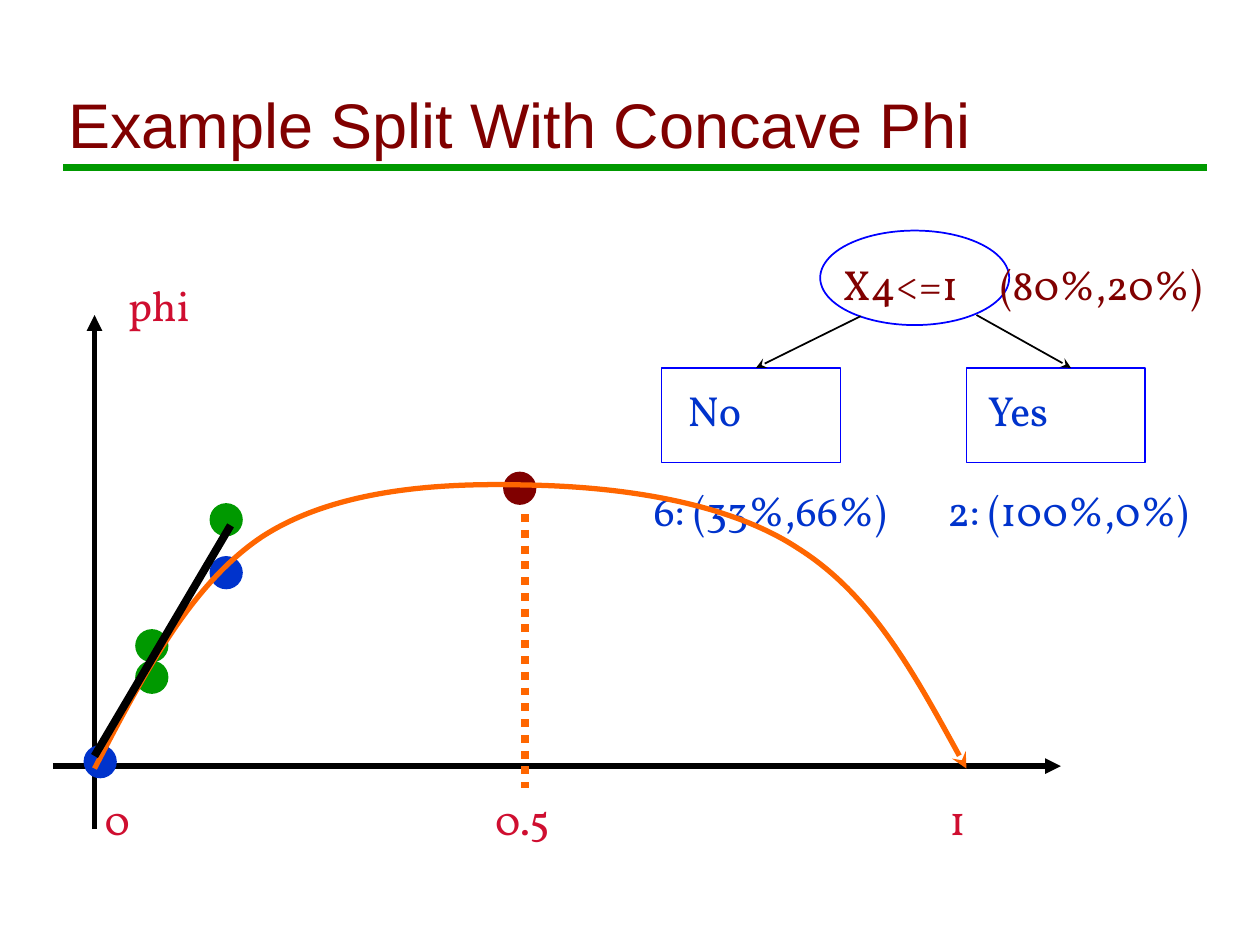
from pptx import Presentation
from pptx.dml.color import RGBColor
from pptx.enum.dml import MSO_LINE_DASH_STYLE as Dash
from pptx.enum.shapes import MSO_CONNECTOR as Connector, MSO_SHAPE as Shape
from pptx.enum.text import MSO_ANCHOR as Anchor, MSO_AUTO_SIZE as AutoSize, PP_ALIGN as Align
from pptx.oxml.ns import qn
from pptx.util import Inches, Pt
from lxml.etree import SubElement

MAROON = RGBColor(0x80, 0x00, 0x00)
GREEN = RGBColor(0x00, 0x99, 0x00)
BLUE = RGBColor(0x00, 0x33, 0xCC)
OUTLINE = RGBColor(0x00, 0x00, 0xFF)
RED = RGBColor(0xCF, 0x0E, 0x30)
ORANGE = RGBColor(0xFF, 0x66, 0x00)
BLACK = RGBColor(0x00, 0x00, 0x00)

DOT_SIZE = 0.25
LEAF_SIZE = (1.42, 0.75)
LEAF_TOP = 2.92
BODY_FONT = {"name": "Vollkorn", "size": Pt(24)}


def apply_format(target, values):
    for name, value in values.items():
        setattr(target, name, value)


def format_line(line, color, width, arrow=None):
    line.color.rgb = color
    line.width = Pt(width)
    if arrow:
        SubElement(line._get_or_add_ln(), qn("a:tailEnd"), type=arrow)


def add_line(slide, start, end, color, width, arrow=None, dash=None):
    points = [Inches(value) for value in (*start, *end)]
    connector = slide.shapes.add_connector(Connector.STRAIGHT, *points)
    SubElement(connector._element.spPr, qn("a:effectLst"))
    if dash:
        connector.line.dash_style = dash
    format_line(connector.line, color, width, arrow)


def add_outline(slide, kind, box, color, filled=False):
    shape = slide.shapes.add_shape(kind, *map(Inches, box))
    shape.shadow.inherit = False
    if filled:
        shape.fill.solid()
        shape.fill.fore_color.rgb = color
    else:
        shape.fill.background()
    format_line(shape.line, color, 1)


def add_dot(slide, left, top, color):
    add_outline(slide, Shape.OVAL, (left, top, DOT_SIZE, DOT_SIZE), color, filled=True)


def add_text(slide, box, lines, color, align=Align.LEFT, indent=0, tab=None):
    """Write lines one blank line apart; the indent moves the first line."""
    frame = slide.shapes.add_textbox(*map(Inches, box)).text_frame
    left_inset = 0 if align == Align.CENTER else Inches(0.1)
    apply_format(frame, {"word_wrap": True, "margin_left": left_inset, "margin_right": 0})
    for index, line in enumerate(lines):
        paragraph = frame.paragraphs[0] if index == 0 else frame.add_paragraph()
        paragraph.text = line
        paragraph.alignment = align
        properties = paragraph._p.get_or_add_pPr()
        if index == 0:
            properties.set("marL", str(Inches(indent)))
        else:
            paragraph.space_before = Pt(28.8)
        if tab:
            tabs = SubElement(properties, qn("a:tabLst"))
            SubElement(tabs, qn("a:tab"), pos=str(Inches(tab)), algn="l")
        for run in paragraph.runs:
            apply_format(run.font, BODY_FONT)
            run.font.color.rgb = color


def add_curve(slide, start, points, color, width, arrow):
    """Draw cubic segments; each takes two control points and an end point."""
    builder = slide.shapes.build_freeform(*map(Inches, start))
    builder.add_line_segments([(Inches(x), Inches(y)) for x, y in points], close=False)
    shape = builder.convert_to_shape()
    shape.shadow.inherit = False
    shape.fill.background()
    format_line(shape.line, color, width, arrow)
    outline = shape._element.find(".//" + qn("a:path"))
    steps = outline.findall(qn("a:lnTo"))
    for first in range(0, len(steps), 3):
        cubic = SubElement(outline, qn("a:cubicBezTo"))
        for step in steps[first:first + 3]:
            cubic.append(step[0])
            outline.remove(step)


def add_title(slide, text):
    add_line(slide, (0.5, 1.33), (9.58, 1.33), GREEN, 4)
    title = slide.shapes.title
    apply_format(title, {"left": Inches(0.44), "top": Inches(0.25),
                         "width": Inches(8.97), "height": Inches(1.08)})
    frame = title.text_frame
    frame.text = text
    apply_format(frame, {"vertical_anchor": Anchor.BOTTOM, "word_wrap": True,
                         "auto_size": AutoSize.NONE})
    paragraph = frame.paragraphs[0]
    paragraph.alignment = Align.LEFT
    apply_format(paragraph.font, {"name": "Arial", "size": Pt(36)})
    paragraph.font.color.rgb = MAROON


def add_axes(slide):
    add_line(slide, (0.75, 6.58), (0.75, 2.5), BLACK, 3, "triangle")
    add_line(slide, (0.42, 6.08), (8.42, 6.08), BLACK, 3, "triangle")
    labels = [("phi", 0.9, 2.17, 0.72), ("0", 0.74, 6.25, 0.38),
              ("0.5", 3.82, 6.25, 0.65), ("1", 7.41, 6.25, 0.38)]
    for text, left, top, width in labels:
        add_text(slide, (left, top, width, 0.5), [text], RED, Align.CENTER)


def add_tree(slide):
    # Root node with its class shares
    add_outline(slide, Shape.OVAL, (6.51, 1.83, 1.5, 0.75), OUTLINE)
    add_text(slide, (6.59, 2, 3.26, 0.5), ["X4<=1\t(80%,20%)"], MAROON, tab=1.25)
    # Leaves: box left, branch start, branch end, text left, indent, lines
    leaves = [
        (5.25, (6.83, 2.51), 6, 5.09, 0.27, ["No", "6: (33%,66%)"]),
        (7.67, (7.75, 2.5), 8.5, 7.42, 0.32, ["Yes", "2: (100%,0%)"]),
    ]
    for left, start, end, text_left, indent, lines in leaves:
        add_outline(slide, Shape.RECTANGLE, (left, LEAF_TOP, *LEAF_SIZE), OUTLINE)
        add_line(slide, start, (end, LEAF_TOP), BLACK, 1, "stealth")
        add_text(slide, (text_left, 3, 2.23, 1.3), lines, BLUE, indent=indent)


def add_phi_plot(slide):
    add_line(slide, (4.17, 4.08), (4.17, 6.25), ORANGE, 4.5, dash=Dash.ROUND_DOT)
    dots = [(1.67, 4.42, BLUE), (0.67, 5.92, BLUE), (1.08, 5, GREEN),
            (1.08, 5.25, GREEN), (4, 3.75, MAROON), (1.67, 4, GREEN)]
    for left, top, color in dots:
        add_dot(slide, left, top, color)
    curve = [(1.13, 5.37), (1.51, 4.64), (2.08, 4.26),
             (2.65, 3.89), (3.46, 3.83), (4.17, 3.85),
             (4.87, 3.86), (5.75, 3.97), (6.33, 4.35),
             (6.92, 4.72), (7.29, 5.41), (7.67, 6.1)]
    add_curve(slide, (0.75, 6.1), curve, ORANGE, 3, "stealth")
    # Chord between the two child nodes
    add_line(slide, (0.75, 6), (1.83, 4.17), BLACK, 4.5)


def main():
    presentation = Presentation()
    apply_format(presentation, {"slide_width": Inches(10), "slide_height": Inches(7.5)})
    slide = presentation.slides.add_slide(presentation.slide_layouts[5])
    add_title(slide, "Example Split With Concave Phi")
    add_axes(slide)
    add_tree(slide)
    add_phi_plot(slide)
    presentation.save("out.pptx")


if __name__ == "__main__":
    main()
